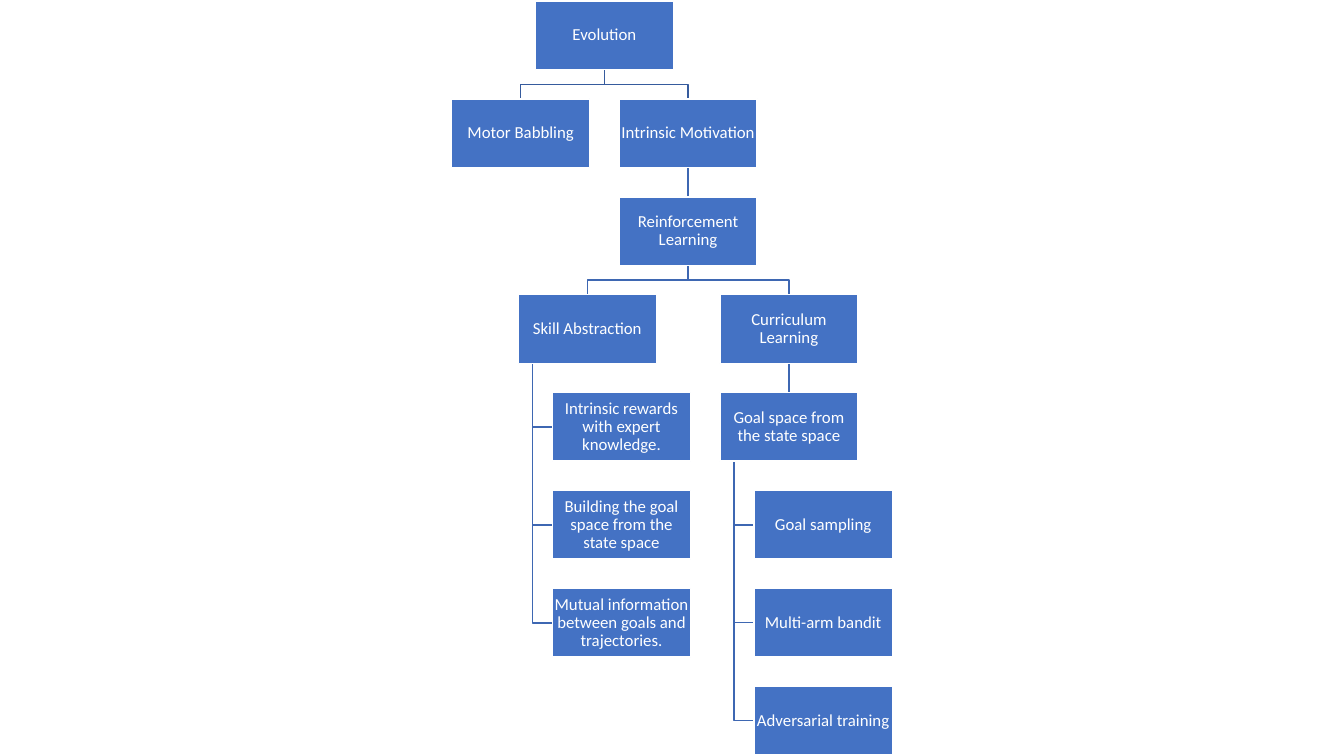
from dataclasses import dataclass
from typing import Optional

from lxml.etree import SubElement
from pptx import Presentation
from pptx.dml.color import RGBColor
from pptx.enum.shapes import MSO_CONNECTOR, MSO_SHAPE
from pptx.enum.text import MSO_ANCHOR, PP_ALIGN
from pptx.oxml.ns import qn
from pptx.util import Inches, Pt

NODE_WIDTH, NODE_HEIGHT = 1.37, 0.68
HANGING_INDENT = 0.34
TRUNK_INDENT = 0.14


@dataclass
class Node:
    """One box of the tree; offset is its left edge measured from its parent."""
    text: str
    row: int
    offset: float
    parent: Optional["Node"] = None

    @property
    def left(self):
        return self.offset + (self.parent.left if self.parent else 0)

    @property
    def hangs(self):
        return self.offset == HANGING_INDENT


def build_tree():
    evolution = Node("Evolution", 0, 0.83)
    babbling = Node("Motor Babbling", 1, -0.83, evolution)
    motivation = Node("Intrinsic Motivation", 1, 0.83, evolution)
    reinforcement = Node("Reinforcement Learning", 2, 0, motivation)
    skill = Node("Skill Abstraction", 3, -1, reinforcement)
    curriculum = Node("Curriculum Learning", 3, 1, reinforcement)
    goal_space = Node("Goal space from the state space", 4, 0, curriculum)
    nodes = [evolution, babbling, motivation, reinforcement, skill, curriculum, goal_space]
    hanging_lists = [
        (skill, ["Intrinsic rewards with expert knowledge.",
                 "Building the goal space from the state space",
                 "Mutual information between goals and trajectories."]),
        (goal_space, ["Goal sampling", "Multi-arm bandit", "Adversarial training"]),
    ]
    for parent, texts in hanging_lists:
        for row, text in enumerate(texts, parent.row + 1):
            nodes.append(Node(text, row, HANGING_INDENT, parent))
    return nodes


def color(hex_string):
    return RGBColor.from_string(hex_string)


def add_link(slide, points, line_color):
    """Draw a line through points given in inches."""
    corners = [(Inches(x), Inches(y)) for x, y in points]
    if len(corners) == 2:
        link = slide.shapes.add_connector(MSO_CONNECTOR.STRAIGHT, *corners[0], *corners[1])
        SubElement(link._element.spPr, qn("a:effectLst"))
    else:
        builder = slide.shapes.build_freeform(*corners[0])
        builder.add_line_segments(corners[1:], close=False)
        link = builder.convert_to_shape()
        link.fill.background()
        link.shadow.inherit = False
    link.line.color.rgb = color(line_color)
    link.line.width = Pt(1)


def link_points(node, left, top, pitch):
    parent = node.parent
    parent_left, node_left = left + parent.left, left + node.left
    parent_bottom = top + parent.row * pitch + NODE_HEIGHT
    node_top = top + node.row * pitch
    if node.hangs:
        trunk, middle = parent_left + TRUNK_INDENT, node_top + NODE_HEIGHT / 2
        return [(trunk, parent_bottom), (trunk, middle), (node_left, middle)]
    start, end = parent_left + NODE_WIDTH / 2, node_left + NODE_WIDTH / 2
    if node.offset == 0:
        return [(start, parent_bottom), (end, node_top)]
    bend = (parent_bottom + node_top) / 2
    return [(start, parent_bottom), (start, bend), (end, bend), (end, node_top)]


def add_node(slide, text, left, top):
    shape = slide.shapes.add_shape(MSO_SHAPE.RECTANGLE, Inches(left), Inches(top),
                                   Inches(NODE_WIDTH), Inches(NODE_HEIGHT))
    shape.shadow.inherit = False
    shape.fill.solid()
    shape.fill.fore_color.rgb = color("4472C4")
    shape.line.color.rgb = color("FFFFFF")
    shape.line.width = Pt(1)
    frame = shape.text_frame
    frame.text = text
    frame.word_wrap = True
    frame.vertical_anchor = MSO_ANCHOR.MIDDLE
    frame.margin_left = frame.margin_right = Inches(0.01)
    frame.margin_top = frame.margin_bottom = Inches(0.01)
    paragraph = frame.paragraphs[0]
    paragraph.alignment = PP_ALIGN.CENTER
    paragraph.line_spacing = 0.9
    font = paragraph.runs[0].font
    font.name = "Calibri"
    font.size = Pt(12)
    font.color.rgb = color("FFFFFF")


def add_hierarchy(slide, left, top, height):
    nodes = build_tree()
    pitch = (height - NODE_HEIGHT) / max(node.row for node in nodes)
    for node in nodes:
        if node.parent:
            line_color = "3E67B2" if node.parent.parent else "365B9D"
            add_link(slide, link_points(node, left, top, pitch), line_color)
    for node in nodes:
        add_node(slide, node.text, left + node.left, top + node.row * pitch)


def main():
    presentation = Presentation()
    presentation.slide_width = Inches(13.33)
    presentation.slide_height = Inches(7.5)
    slide = presentation.slides.add_slide(presentation.slide_layouts[6])
    add_hierarchy(slide, left=4.48, top=0.01, height=7.48)
    presentation.save("out.pptx")


if __name__ == "__main__":
    main()
